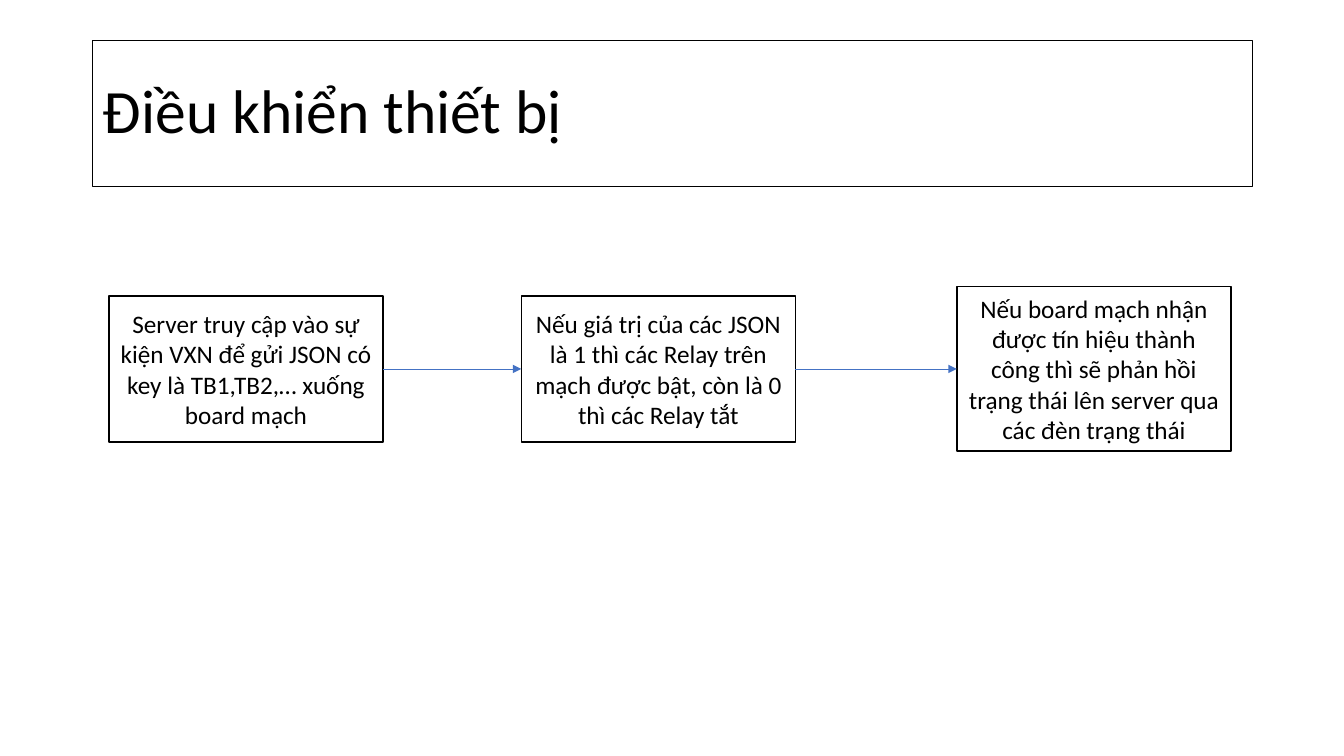
from dataclasses import dataclass
from itertools import pairwise

from lxml.etree import SubElement
from pptx import Presentation
from pptx.dml.color import RGBColor
from pptx.enum.shapes import MSO_CONNECTOR as CONN, MSO_SHAPE as SHAPE
from pptx.enum.text import MSO_ANCHOR as ANCHOR, MSO_AUTO_SIZE as AUTO, PP_ALIGN as ALIGN
from pptx.oxml.ns import qn
from pptx.util import Inches, Pt


@dataclass(frozen=True)
class Theme:
    """Colours, font and type sizes of the slide."""
    ink: RGBColor = RGBColor(0, 0, 0)
    paper: RGBColor = RGBColor(255, 255, 255)
    arrow: RGBColor = RGBColor(0x44, 0x72, 0xC4)
    font: str = "Calibri"
    title_size: Pt = Pt(44)
    step_size: Pt = Pt(18)


THEME = Theme()
MID_Y = 3.66
STEP_W = 2.72
LEFT_SITE, RIGHT_SITE = 1, 3

# left edge, height, text
STEPS = [
    (1.08, 1.45, "Server truy cập vào sự kiện VXN để gửi JSON có key là TB1,TB2,… xuống board mạch"),
    (5.17, 1.45, "Nếu giá trị của các JSON là 1 thì các Relay trên mạch được bật, còn là 0 thì các Relay tắt"),
    (9.49, 1.63, "Nếu board mạch nhận được tín hiệu thành công thì sẽ phản hồi trạng thái lên server qua các đèn trạng thái"),
]


def style_box(sp, text, size, align):
    """Give a shape its white fill, black outline and text."""
    sp.fill.solid()
    sp.fill.fore_color.rgb = THEME.paper
    sp.line.color.rgb = THEME.ink
    sp.line.width = Pt(1)
    tf = sp.text_frame
    tf.word_wrap = True
    tf.auto_size = AUTO.NONE
    tf.vertical_anchor = ANCHOR.MIDDLE
    tf.text = text
    p = tf.paragraphs[0]
    p.alignment = align
    p.font.name = THEME.font
    p.font.size = size
    p.font.color.rgb = THEME.ink
    return p


def add_title(s, text):
    """Place and format the title placeholder."""
    sp = s.shapes.title
    sp.left, sp.top = Inches(0.92), Inches(0.4)
    sp.width, sp.height = Inches(11.5), Inches(1.45)
    p = style_box(sp, text, THEME.title_size, ALIGN.LEFT)
    p.line_spacing = 0.9


def add_step(s, left, height, text):
    """Add a process step centred on the row's middle line."""
    sp = s.shapes.add_shape(SHAPE.RECTANGLE, Inches(left), Inches(MID_Y - height / 2),
                            Inches(STEP_W), Inches(height))
    sp.shadow.inherit = False
    style_box(sp, text, THEME.step_size, ALIGN.CENTER)
    return sp


def add_arrow(s, start, end):
    """Join two steps with an arrow from right side to left side."""
    c = s.shapes.add_connector(CONN.STRAIGHT, 0, 0, 0, 0)
    c.begin_connect(start, RIGHT_SITE)
    c.end_connect(end, LEFT_SITE)
    c.line.color.rgb = THEME.arrow
    c.line.width = Pt(0.5)
    SubElement(c.line._get_or_add_ln(), qn("a:tailEnd"), type="triangle")
    SubElement(c._element.spPr, qn("a:effectLst"))


def main():
    """Build the slide and save it."""
    prs = Presentation()
    prs.slide_width, prs.slide_height = Inches(13.33), Inches(7.5)
    s = prs.slides.add_slide(prs.slide_layouts.get_by_name("Title Only"))
    add_title(s, "Điều khiển thiết bị")
    steps = [add_step(s, *step) for step in STEPS]
    for start, end in pairwise(steps):
        add_arrow(s, start, end)
    prs.save("out.pptx")


main()
